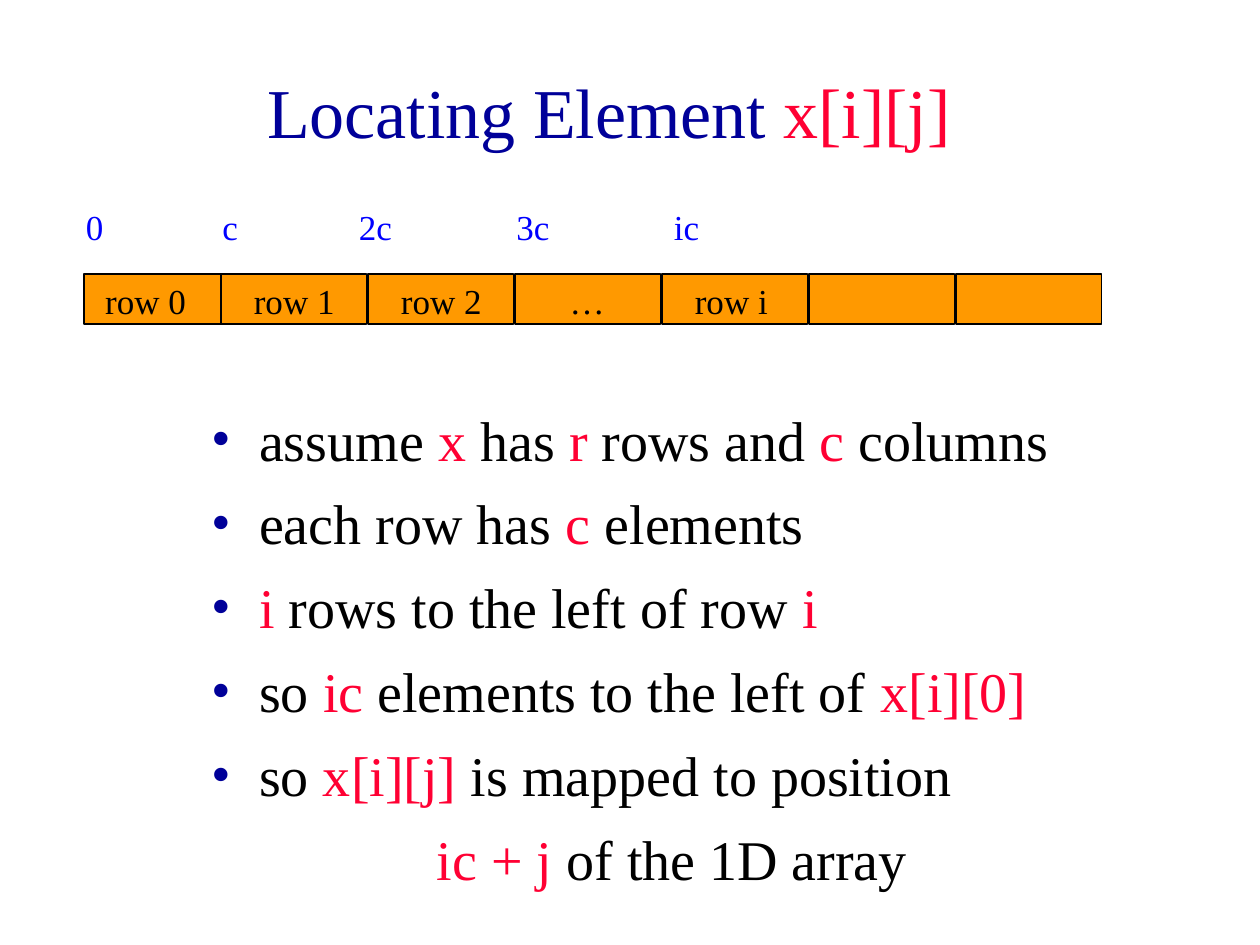
"""Build the slide that locates element x[i][j] in a row-major array."""

from dataclasses import dataclass

import pptx
import pptx.dml.color
import pptx.enum.shapes
import pptx.enum.text
import pptx.oxml.ns
import pptx.util
from lxml import etree

Pt = pptx.util.Pt
ALIGN = pptx.enum.text.PP_ALIGN
ANCHOR = pptx.enum.text.MSO_ANCHOR
FONT = "Times New Roman"
COLORS = {
    "navy": "000099",
    "red": "FF0033",
    "black": "000000",
    "blue": "0000FF",
    "orange": "FF9900",
}


@dataclass(frozen=True)
class Span:
    text: str
    color: str = "black"


@dataclass(frozen=True)
class Cell:
    left: float
    label: str = ""
    inset: float = 11.5


@dataclass(frozen=True)
class Index:
    left: float
    width: float
    label: str


def rgb(name: str) -> pptx.dml.color.RGBColor:
    return pptx.dml.color.RGBColor.from_string(COLORS[name])


def red(text: str) -> Span:
    return Span(text, "red")


def add_box(page, left: float, top: float, width: float, height: float, anchor=ANCHOR.TOP):
    box = page.shapes.add_textbox(Pt(left), Pt(top), Pt(width), Pt(height))
    box.text_frame.word_wrap = True
    box.text_frame.vertical_anchor = anchor
    return box.text_frame


def add_spans(para, spans: list[Span], size: float) -> None:
    for span in spans:
        run = para.add_run()
        run.text = span.text
        run.font.name = FONT
        run.font.size = Pt(size)
        run.font.color.rgb = rgb(span.color)


def set_indent(para, margin: float, indent: float) -> None:
    properties = para._p.get_or_add_pPr()
    properties.set("marL", str(Pt(margin)))
    properties.set("indent", str(Pt(indent)))


def add_bullet(para, color: str) -> None:
    qn = pptx.oxml.ns.qn
    properties = para._p.get_or_add_pPr()
    bullet_color = etree.SubElement(properties, qn("a:buClr"))
    etree.SubElement(bullet_color, qn("a:srgbClr"), val=COLORS[color])
    etree.SubElement(properties, qn("a:buFont"), typeface=FONT)
    etree.SubElement(properties, qn("a:buChar"), char="•")


def add_label(page, left: float, top: float, width: float, span: Span) -> None:
    frame = add_box(page, left, top, width, 31)
    add_spans(frame.paragraphs[0], [span], 20)


def add_cell(page, cell: Cell) -> None:
    shape = page.shapes.add_shape(
        pptx.enum.shapes.MSO_SHAPE.RECTANGLE, Pt(cell.left), Pt(156.5), Pt(83), Pt(28.5)
    )
    shape.shadow.inherit = False
    shape.fill.solid()
    shape.fill.fore_color.rgb = rgb("orange")
    shape.line.color.rgb = rgb("black")
    shape.line.width = Pt(1)
    if cell.label:
        add_label(page, cell.left + cell.inset, 156, 78, Span(cell.label))


def add_points(page, points: list[list[Span]], ending: list[Span]) -> None:
    frame = add_box(page, 114, 228, 504, 138)
    for number, spans in enumerate(points):
        para = frame.add_paragraph() if number else frame.paragraphs[0]
        if number:
            para.space_before = Pt(9.5)
        set_indent(para, 27, -27)
        add_bullet(para, "navy")
        add_spans(para, spans, 32)
    para = frame.add_paragraph()
    para.level = 1
    para.alignment = ALIGN.CENTER
    para.space_before = Pt(9.5)
    set_indent(para, 58.5, -22.5)
    add_spans(para, ending, 32)


CELL_LABELS = ["row 1", "row 2", "…", "row i", "", ""]
CELLS = [Cell(48, "row 0", 5)] + [
    Cell(126.5 + 84 * number, label, 24 if label == "…" else 11.5)
    for number, label in enumerate(CELL_LABELS)
]
INDEXES = [
    Index(42, 24, "0"),
    Index(120, 24, "c"),
    Index(198, 48, "2c"),
    Index(288, 42, "3c"),
    Index(378, 54, "ic"),
]
POINTS = [
    [Span("assume "), red("x"), Span(" has "), red("r "), Span("rows and "), red("c "), Span("columns")],
    [Span("each row has "), red("c"), Span(" elements")],
    [red("i "), Span("rows to the left of row "), red("i")],
    [Span("so "), red("ic "), Span("elements to the left of "), red("x[i][0]")],
    [Span("so"), red(" x[i][j] "), Span("is mapped to position")],
]


def main() -> None:
    deck = pptx.Presentation()
    deck.slide_width, deck.slide_height = Pt(720), Pt(540)
    page = deck.slides.add_slide(deck.slide_layouts[6])
    title = add_box(page, 42, 18, 612, 90, ANCHOR.MIDDLE).paragraphs[0]
    title.alignment = ALIGN.CENTER
    add_spans(title, [Span("Locating Element", "navy"), red(" x[i][j]")], 40)
    add_points(page, POINTS, [red("ic + j"), Span(" of the 1D array")])
    for cell in CELLS:
        add_cell(page, cell)
    for index in INDEXES:
        add_label(page, index.left, 114, index.width, Span(index.label, "blue"))
    deck.save("out.pptx")


if __name__ == "__main__":
    main()
